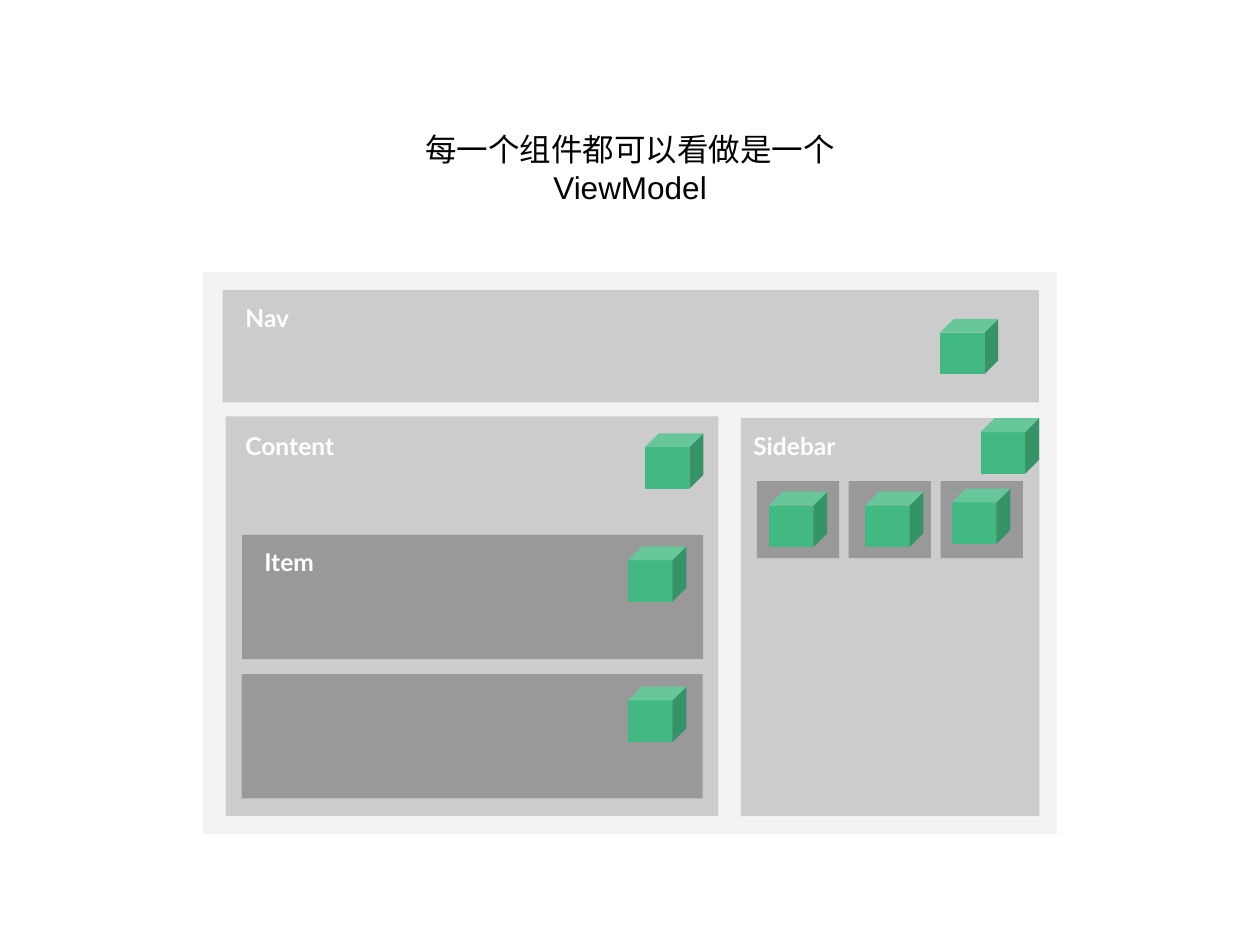
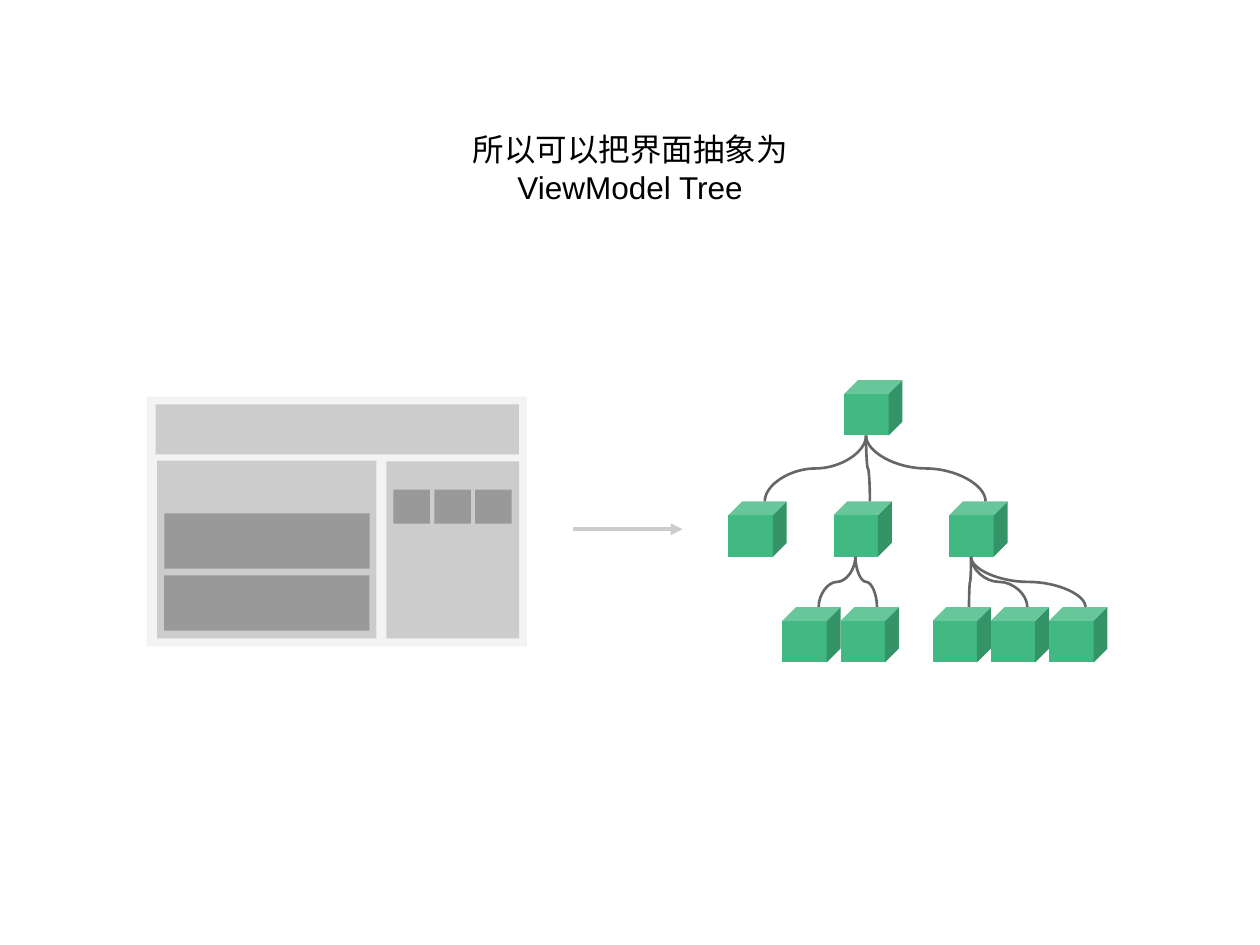
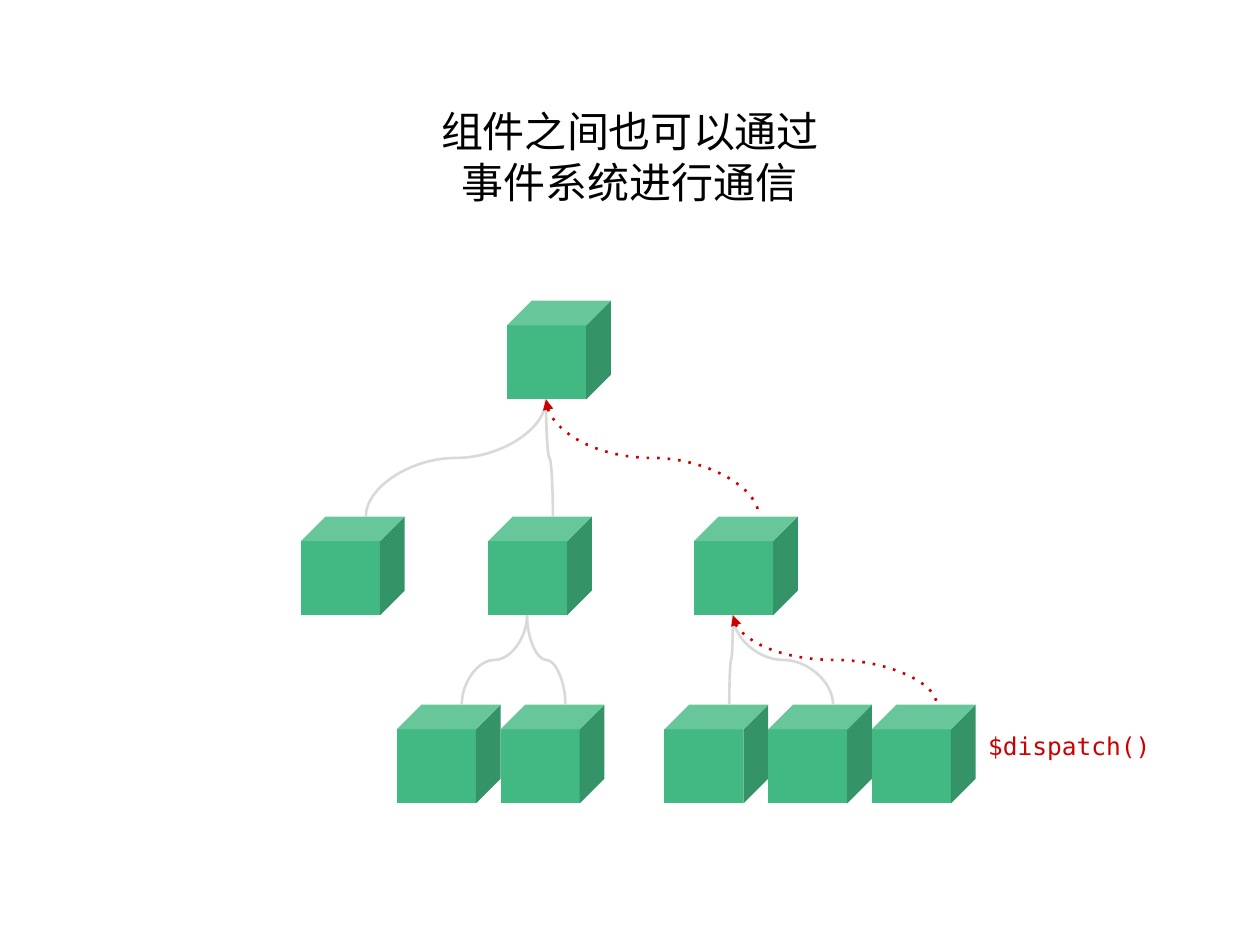
"""Build three slides on components as a tree of view models."""
from dataclasses import dataclass

from lxml import etree
from pptx import Presentation
from pptx.dml.color import RGBColor
from pptx.enum import shapes, text
from pptx.oxml import ns
from pptx.util import Pt

COLORS = {
    "frame": "F3F3F3", "region": "CCCCCC", "item": "999999", "cube": "42B983",
    "black": "000000", "white": "FFFFFF", "edge": "666666", "pale": "D9D9D9",
    "event": "CC0000",
}
CUBE_W, CUBE_H = 33.3, 31.7


@dataclass(frozen=True)
class Panel:
    x: float
    y: float
    w: float
    h: float
    color: str


@dataclass(frozen=True)
class Label:
    text: str
    x: float
    y: float
    w: float
    h: float
    size: float = 14
    font: str = "Lato"
    color: str = "white"
    bold: bool = False
    centred: bool = False


@dataclass(frozen=True)
class Cube:
    x: float
    y: float
    scale: float = 1

    @property
    def top(self) -> tuple[float, float]:
        return self.x + CUBE_W * self.scale * 5 / 8, self.y

    @property
    def bottom(self) -> tuple[float, float]:
        return self.x + CUBE_W * self.scale * 3 / 8, self.y + CUBE_H * self.scale


@dataclass(frozen=True)
class Branch:
    dx: float
    leaf_dx: float = 0
    leaves: int = 0


FRAME = Panel(116, 155.6, 488, 321, "frame")
PANELS = [
    FRAME,
    Panel(127.2, 165.8, 466.5, 64.2, "region"),
    Panel(129, 238, 281.6, 228.3, "region"),
    Panel(423.4, 239, 170.5, 227.4, "region"),
    Panel(138.4, 305.6, 263.5, 71, "item"),
    Panel(138.1, 385.2, 263.5, 71, "item"),
    *(Panel(432.5 + 52.5 * i, 275, 47, 44, "item") for i in range(3)),
]
REGION_LABELS = [("Nav", 133.2, 165.8), ("Content", 133.2, 239),
                 ("Item", 144, 305.6), ("Sidebar", 423.4, 239)]
PANEL_CUBES = [(537.1, 182.2), (368.6, 247.6), (358.9, 312.2), (358.9, 392.4),
               (560.4, 239), (439.4, 281), (494.4, 281), (544, 279.2)]
BRANCHES = [Branch(-66.2), Branch(-6.1, -35.4, 2), Branch(60, 50.5, 3)]
BRANCH_DY, LEAF_DY = 69.3, 129.7


def rgb(name: str) -> RGBColor:
    return RGBColor.from_string(COLORS[name])


def add_solid(slide, kind, x: float, y: float, w: float, h: float, color: str) -> None:
    sp = slide.shapes.add_shape(kind, Pt(x), Pt(y), Pt(w), Pt(h))
    sp.shadow.inherit = False
    sp.fill.solid()
    sp.fill.fore_color.rgb = rgb(color)
    sp.line.fill.background()


def add_cube(slide, cube: Cube) -> None:
    add_solid(slide, shapes.MSO_SHAPE.CUBE, cube.x, cube.y,
              CUBE_W * cube.scale, CUBE_H * cube.scale, "cube")


def add_panels(slide, x: float, y: float, scale: float) -> None:
    for panel in PANELS:
        add_solid(slide, shapes.MSO_SHAPE.RECTANGLE,
                  x + (panel.x - FRAME.x) * scale, y + (panel.y - FRAME.y) * scale,
                  panel.w * scale, panel.h * scale, panel.color)


def add_label(slide, label: Label) -> None:
    sp = slide.shapes.add_textbox(Pt(label.x), Pt(label.y), Pt(label.w), Pt(label.h))
    tf = sp.text_frame
    tf.word_wrap = True
    tf.margin_left = tf.margin_right = tf.margin_top = tf.margin_bottom = Pt(7.2)
    tf.text = label.text
    for p in tf.paragraphs:
        p.alignment = text.PP_ALIGN.CENTER if label.centred else text.PP_ALIGN.LEFT
        for r in p.runs:
            r.font.size = Pt(label.size)
            r.font.name = label.font
            r.font.bold = label.bold
            r.font.color.rgb = rgb(label.color)


def add_title(slide, title: str, y: float, w: float, size: float) -> None:
    add_label(slide, Label(title, 360 - w / 2, y, w, 54.7, size, "Arial", "black",
                           centred=True))


def add_line(slide, kind, start: tuple[float, float], end: tuple[float, float],
             color: str, width: float, **ends: str):
    c = slide.shapes.add_connector(kind, *map(Pt, (*start, *end)))
    c.line.color.rgb = rgb(color)
    c.line.width = Pt(width)
    ln = c.line._get_or_add_ln()
    for tag, value in ends.items():
        attr = "val" if tag == "prstDash" else "type"
        etree.SubElement(ln, ns.qn(f"a:{tag}")).set(attr, value)
    etree.SubElement(c._element.spPr, ns.qn("a:effectLst"))
    return c


def add_edge(slide, parent: Cube, child: Cube, color: str, event: bool) -> None:
    (x1, y1), (x2, y2) = parent.bottom, child.top
    mid_x, mid_y = (x1 + x2) / 2, (y1 + y2) / 2
    side = 1 if x2 < x1 else -1
    half_w, half_h = side * (y2 - y1) / 2, abs(x2 - x1) / 2
    ends = {"prstDash": "dot", "headEnd": "triangle"} if event else {}
    c = add_line(slide, shapes.MSO_CONNECTOR.CURVE,
                 (mid_x - half_w, mid_y - half_h), (mid_x + half_w, mid_y + half_h),
                 "event" if event else color, 1.5, **ends)
    xfrm = c._element.spPr.find(ns.qn("a:xfrm"))
    xfrm.set("rot", str((90 if side > 0 else 270) * 60000))


def add_tree(slide, x: float, y: float, scale: float, color: str,
             dispatch: bool = False) -> None:
    root = Cube(x, y, scale)
    cubes, edges = [root], []
    for branch in BRANCHES:
        node = Cube(x + branch.dx * scale, y + BRANCH_DY * scale, scale)
        leaves = [Cube(x + (branch.leaf_dx + i * CUBE_W) * scale, y + LEAF_DY * scale, scale)
                  for i in range(branch.leaves)]
        cubes += [node, *leaves]
        on_route = dispatch and branch is BRANCHES[-1]
        edges.append((root, node, on_route))
        edges += [(node, leaf, on_route and leaf is leaves[-1]) for leaf in leaves]
    for cube in cubes:
        add_cube(slide, cube)
    for parent, child, event in edges:
        add_edge(slide, parent, child, color, event)


def build_components(slide) -> None:
    add_panels(slide, FRAME.x, FRAME.y, 1)
    add_title(slide, "每一个组件都可以看做是一个\nViewModel", 67, 281.5, 18)
    for name, x, y in REGION_LABELS:
        add_label(slide, Label(name, x, y, 79.2, 21.6, bold=True))
    for x, y in PANEL_CUBES:
        add_cube(slide, Cube(x, y))


def build_abstraction(slide) -> None:
    add_title(slide, "所以可以把界面抽象为\nViewModel Tree", 67, 281.5, 18)
    add_panels(slide, 84, 226.6, 0.445)
    add_tree(slide, 482.4, 217.2, 1, "edge")
    add_line(slide, shapes.MSO_CONNECTOR.STRAIGHT, (327.6, 302.4), (390, 302.4),
             "region", 2.25, tailEnd="triangle")


def build_events(slide) -> None:
    add_title(slide, "组件之间也可以通过\n事件系统进行通信", 53.3, 347, 24)
    add_tree(slide, 289.8, 171.8, 1.78, "pale", dispatch=True)
    add_label(slide, Label("$dispatch()", 557.5, 410.4, 121.7, 31,
                           font="DejaVu Sans Mono", color="event"))


def main() -> None:
    prs = Presentation()
    prs.slide_width, prs.slide_height = Pt(720), Pt(540)
    for build in (build_components, build_abstraction, build_events):
        slide = prs.slides.add_slide(prs.slide_layouts[6])
        slide.background.fill.solid()
        slide.background.fill.fore_color.rgb = rgb("white")
        build(slide)
    prs.save("out.pptx")


main()
